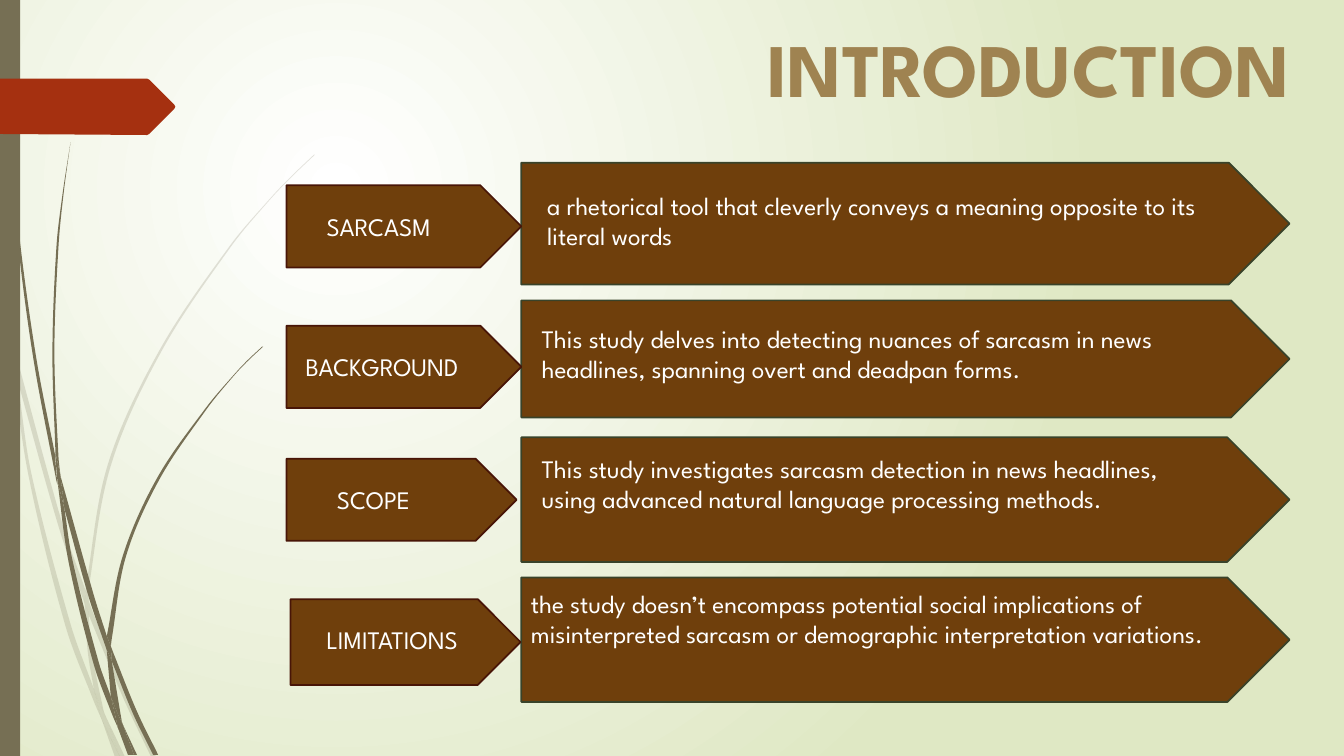
from dataclasses import dataclass
from math import dist

from lxml import etree
from pptx import Presentation
from pptx.dml.color import RGBColor
from pptx.enum.shapes import MSO_SHAPE
from pptx.enum.text import MSO_ANCHOR, MSO_AUTO_SIZE, PP_ALIGN
from pptx.oxml import parse_xml
from pptx.oxml.ns import qn
from pptx.util import Cm, Pt

RECT, PLATE = MSO_SHAPE.RECTANGLE, MSO_SHAPE.PENTAGON
LEFT, MID = PP_ALIGN.LEFT, PP_ALIGN.CENTER
TOP, FIXED = MSO_ANCHOR.TOP, MSO_AUTO_SIZE.NONE
TITLE_ONLY = 5
GRID = Cm(2.54) / 100  # one step of the outline points below


@dataclass(frozen=True)
class Theme:
    font: str = "League Spartan"
    head: int = 54
    body: int = 18
    edge: float = 1.25
    gold: str = "9F8351"
    white: str = "FFFFFF"
    lime: str = "DFE8C4"
    olive: str = "766F54"
    red: str = "A53010"
    brown: str = "6F3F0C"
    moss: str = "39432A"
    wine: str = "481507"


THEME = Theme()

# Outlines: x,y knots in grid steps; a bar marks a corner between smooth sides
PALE = [
    "0,299 10,344 11,350|9,322 0,282|0,299",
    "17,376 58,522 84,599|85,586|62,520 14,345|17,376",
    "88,596 88,610|123,694 150,751|155,751|127,692 92,607 88,596",
    "105,711 119,751|124,751|105,711",
    "11,350 28,470 65,621 92,693 101,714|99,707 93,683|70,619 31,469 17,376 11,350",
    "84,599 87,646 93,683|96,692 105,711|103,706 91,646 88,610|88,608 84,599",
    "312,153 289,175 268,197 228,244 158,348 107,461 85,584 85,586|88,596|"
    "88,584 110,462 160,349 229,245 268,198 290,175 312,154|312,153",
    "101,714 114,751|119,751|101,714",
    "85,586 84,599|88,608 88,610|88,596|85,586",
    "93,683 99,707 101,714|119,751|105,711|96,692 93,683",
]
DARK = [
    "3,0 4,48 7,110 17,233 33,355 56,477 57,481|55,457 55,453|"
    "36,355 19,232 8,109 5,48 4,0|3,0",
    "60,472 64,505|88,592 106,645|106,633 106,631|93,590 60,472",
    "110,641 111,656|132,708 152,749|157,749|136,706 113,649 110,641",
    "57,477 68,557 93,659 111,708 117,722|116,717 110,691|98,657 72,556 64,505|57,477",
    "70,141 62,193 56,245 52,349 55,449|60,472|58,453 54,349 58,245 63,193 70,141",
    "122,719 133,749|136,749|122,719",
    "55,449 55,453 57,477|64,505|60,472|55,449",
    "260,344 245,358 231,373 204,405 156,474 122,551 106,631|110,641|"
    "111,633 125,552 158,476 205,406 231,374 245,359 261,344|260,344",
    "117,722 127,749|131,749|117,722",
    "106,645 110,691|116,706 122,719|121,716 111,656|109,651 106,645",
    "106,631 106,645|109,651 111,656|110,641|106,631",
    "110,691 116,717 117,722|130,749|133,749|122,719|116,706 110,691",
]
FLAG = "0,78|146,78|148,79|173,104|174,106|173,108|148,133|146,134|0,133|0,78"

# Each row: label, its plate, its text spot; then body, its plate, its text spot
ROWS = [
    ("SARCASM", (7.22, 4.67, 5.92, 2.07), (7.98, 5.19, 4.52, 1.02),
     "a rhetorical tool that cleverly conveys a meaning opposite to its "
     "literal words",
     (13.14, 4.1, 19.36, 3.07), (13.54, 4.67, 17.25, 1.8)),
    ("BACKGROUND", (7.22, 8.21, 5.92, 2.07), (7.45, 8.74, 5.56, 1.02),
     "This study delves into detecting nuances of sarcasm in news "
     "headlines, spanning overt and deadpan forms.",
     (13.14, 7.57, 19.36, 2.95), (13.4, 8.02, 17.25, 1.8)),
    ("SCOPE", (7.22, 11.56, 5.8, 2.07), (8.24, 12.07, 5.56, 1.02),
     "This study investigates sarcasm detection in news headlines, "
     "using advanced natural language processing methods.",
     (13.14, 11.02, 19.36, 3.14), (13.4, 11.3, 17.5, 2.57)),
    ("LIMITATIONS", (7.32, 15.1, 5.8, 2.16), (7.98, 15.61, 5.56, 1.02),
     "the study doesn’t encompass potential social implications of "
     "misinterpreted sarcasm or demographic interpretation variations.",
     (13.14, 14.55, 19.36, 3.14), (13.13, 14.7, 17.5, 2.57)),
]


def rgb(code):
    return RGBColor.from_string(code)


def glow(slide):
    """Fill the background with a radial gradient."""
    stops = "".join(
        f'<a:gs pos="{pos}"><a:srgbClr val="{code}"/></a:gs>'
        for pos, code in ((0, THEME.white), (100000, THEME.lime)))
    back = parse_xml(
        '<p:bg xmlns:p="http://schemas.openxmlformats.org/presentationml/2006/main"'
        ' xmlns:a="http://schemas.openxmlformats.org/drawingml/2006/main">'
        f'<p:bgPr><a:gradFill rotWithShape="1"><a:gsLst>{stops}</a:gsLst>'
        '<a:path path="circle"><a:fillToRect l="50000" t="50000" r="100000"'
        ' b="100000"/></a:path></a:gradFill><a:effectLst/></p:bgPr></p:bg>')
    slide.element.find(qn("p:cSld")).insert(0, back)


def paint(shape, fill, line=None):
    shape.shadow.inherit = False
    shape.fill.solid()
    shape.fill.fore_color.rgb = rgb(fill)
    if line:
        shape.line.color.rgb = rgb(line)
        shape.line.width = Pt(THEME.edge)
    else:
        shape.line.fill.background()


def block(slide, kind, box, fill, line=None):
    shape = slide.shapes.add_shape(kind, *map(Cm, box))
    paint(shape, fill, line)


def bend(side):
    """Return the two curve handles and the end of each step along a side."""
    ends = [side[0], *side, side[-1]]
    steps = []
    for a, b, c, d in zip(ends, ends[1:], ends[2:], ends[3:]):
        span = dist(b, c) / 3
        out, back = span / dist(a, c), span / dist(b, d)
        steps.append((
            tuple(q + (r - p) * out for p, q, r in zip(a, b, c)),
            tuple(r - (s - q) * back for q, r, s in zip(b, c, d)), c))
    return steps


def leaf(slide, rim, fill, alpha=None):
    """Draw a curved outline."""
    sides = [[tuple(GRID * int(n) for n in knot.split(","))
              for knot in side.split()] for side in rim.split("|")]
    for prior, side in zip(sides, sides[1:]):
        side.insert(0, prior[-1])
    sides = [side for side in sides if len(side) > 1]
    dots = [dot for side in sides for dot in side[1:]]
    pen = slide.shapes.build_freeform(*sides[0][0])
    pen.add_line_segments(dots, close=True)
    shape = pen.convert_to_shape()
    paint(shape, fill)
    steps = [step for side in sides for step in bend(side)]
    for line, step in zip(list(shape.element.iter(qn("a:lnTo"))), steps):
        arc = etree.Element(qn("a:cubicBezTo"))
        for x, y in step:
            etree.SubElement(arc, qn("a:pt"), x=str(round(x - shape.left)),
                             y=str(round(y - shape.top)))
        line.getparent().replace(line, arc)
    if alpha:
        tint = shape.element.spPr.find(qn("a:solidFill"))[0]
        etree.SubElement(tint, qn("a:alpha"), val=str(alpha * 1000))


def write(shape, text, size, code, bold=False, align=LEFT):
    frame = shape.text_frame
    frame.word_wrap = True
    frame.auto_size = FIXED
    frame.vertical_anchor = TOP
    para = frame.paragraphs[0]
    para.alignment = align
    run = para.add_run()
    run.text = text
    font = run.font
    font.name, font.size, font.bold = THEME.font, Pt(size), bold
    font.color.rgb = rgb(code)


def label(slide, text, box):
    shape = slide.shapes.add_textbox(*map(Cm, box))
    write(shape, text, THEME.body, THEME.white)


def title(slide, text, box):
    head = slide.shapes.title
    head.left, head.top, head.width, head.height = map(Cm, box)
    write(head, text, THEME.head, THEME.gold, True, MID)


def main():
    deck = Presentation()
    deck.slide_width, deck.slide_height = Cm(33.87), Cm(19.05)
    slide = deck.slides.add_slide(deck.slide_layouts[TITLE_ONLY])
    glow(slide)
    for rim in PALE:
        leaf(slide, rim, THEME.olive, 20)
    for rim in DARK:
        leaf(slide, rim, THEME.olive)
    block(slide, RECT, (0, 0, 0.51, 19.05), THEME.olive)
    leaf(slide, FLAG, THEME.red)
    title(slide, "INTRODUCTION", (12.28, 0.43, 27.3, 2.57))
    for name, tag, spot, text, plate, area in ROWS:
        block(slide, PLATE, plate, THEME.brown, THEME.moss)
        label(slide, text, area)
        block(slide, PLATE, tag, THEME.brown, THEME.wine)
        label(slide, name, spot)
    deck.save("out.pptx")


if __name__ == "__main__":
    main()
